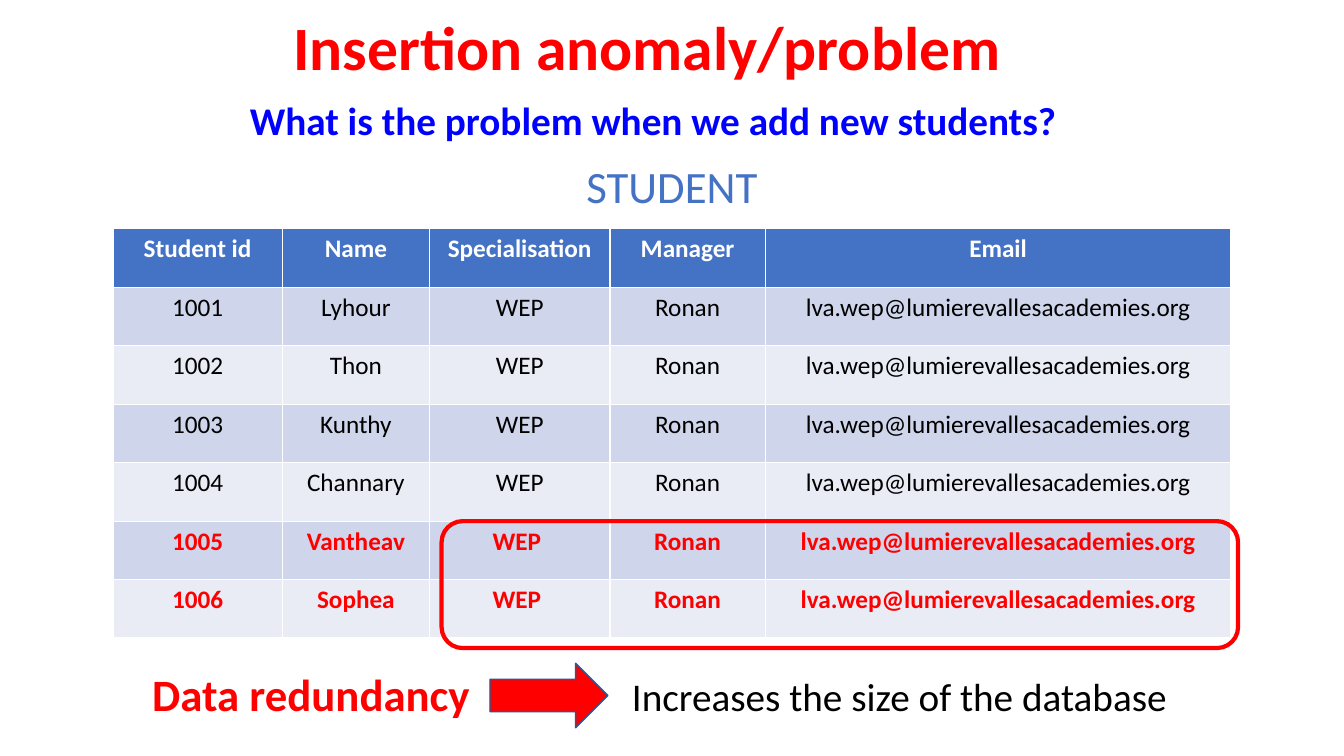
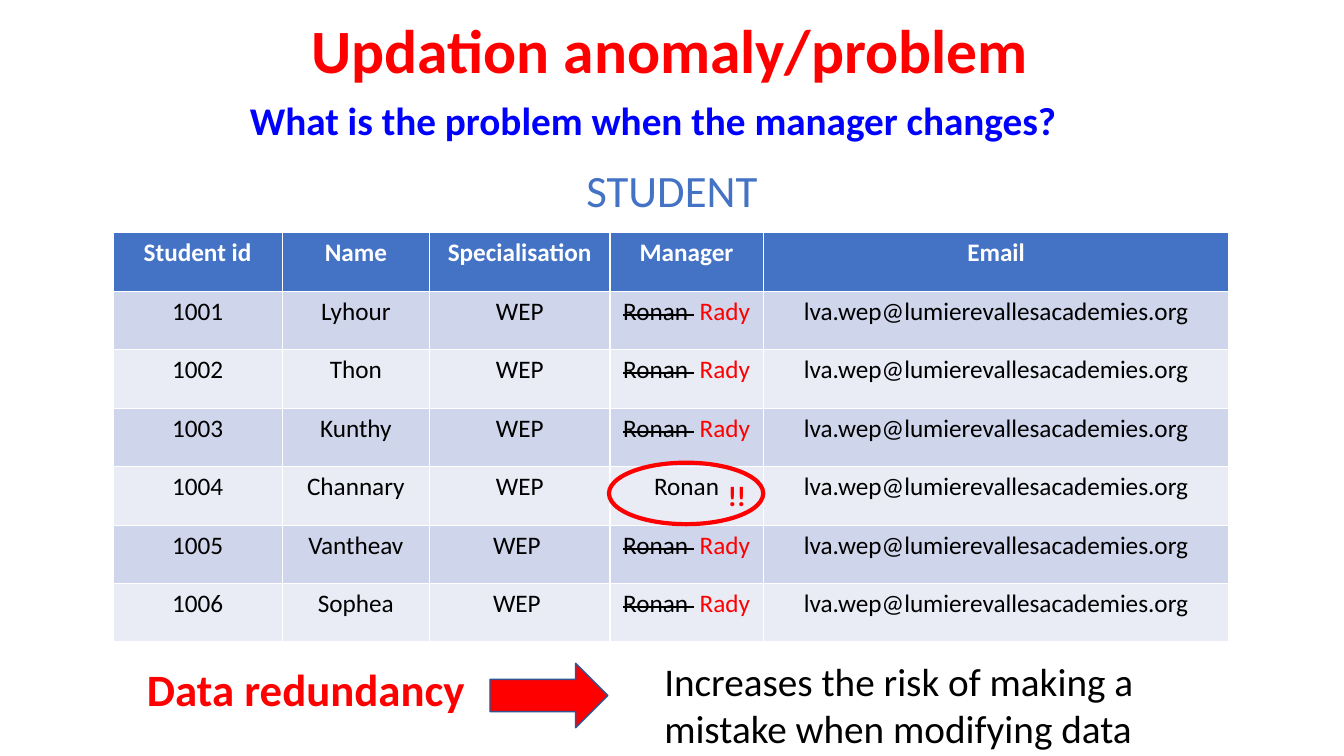
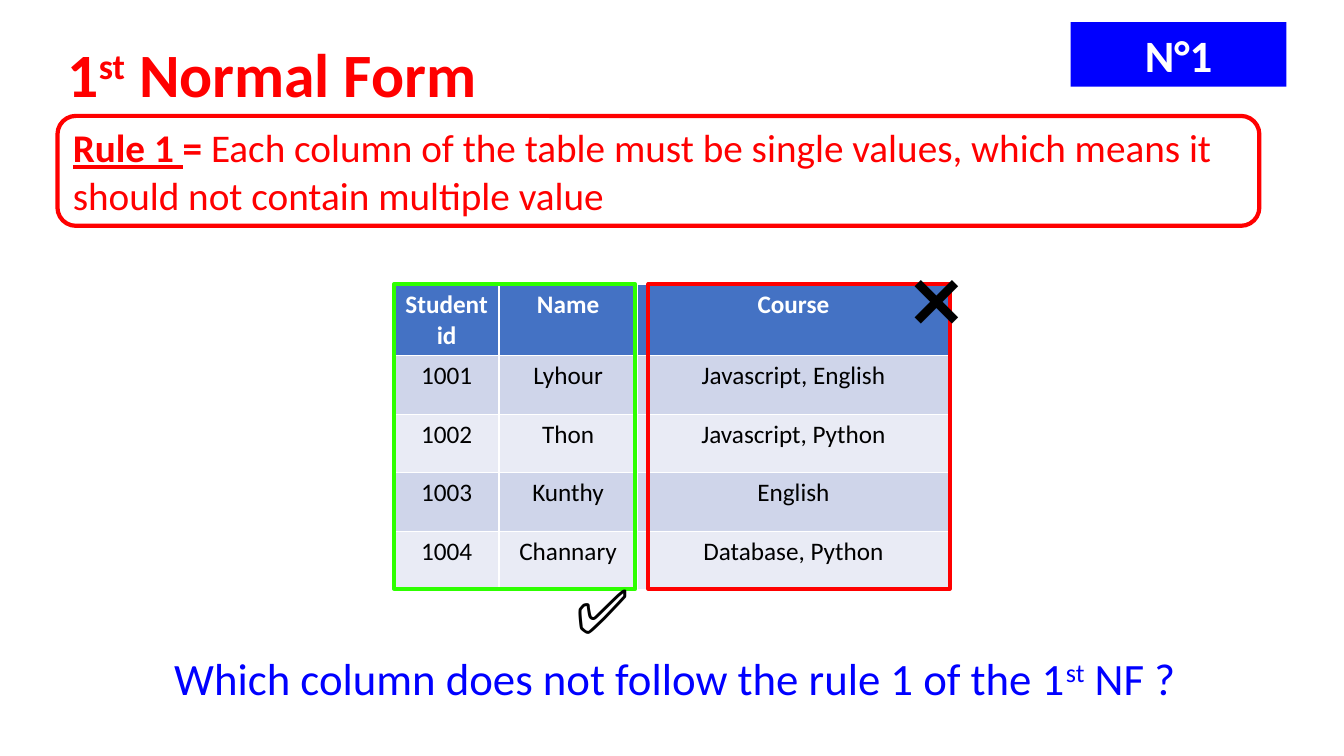
from pptx import Presentation
from pptx.dml.color import RGBColor
from pptx.enum import shapes, text
from pptx.util import Inches, Pt

FONT = "Calibri"
COLORS = {
    "red": "FF0000", "blue": "0000FF", "green": "2EFF00",
    "black": "000000", "white": "FFFFFF", "accent": "4472C4",
    "arrow_edge": "325491", "band_dark": "CFD5EA", "band_light": "E9EBF5",
}
LEFT, CENTER = text.PP_ALIGN.LEFT, text.PP_ALIGN.CENTER
SHAPE = shapes.MSO_SHAPE
ROW_HEIGHT = 0.58

# Table content
HEADINGS = ["Student id", "Name", "Specialisation", "Manager", "Email"]
STUDENTS = [("1001", "Lyhour"), ("1002", "Thon"), ("1003", "Kunthy"),
            ("1004", "Channary"), ("1005", "Vantheav"), ("1006", "Sophea")]
COURSES = ["Javascript, English", "Javascript, Python", "English", "Database, Python"]
EMAIL = "lva.wep@lumierevallesacademies.org"
NEW_IDS = ("1005", "1006")
MISSED_ID = "1004"
NEW_MANAGER = [("Ronan ", {"strike": True}), (" ", {}), ("Rady", {"color": "red"})]


def rgb(name):
    return RGBColor.from_string(COLORS[name])


# Text
def write(frame, content, size, color, bold=False, align=LEFT):
    """Fill a frame with a string or a list of (text, changes) spans."""
    para = frame.paragraphs[0]
    para.alignment = align
    spans = [(content, {})] if isinstance(content, str) else content
    for words, changes in spans:
        span = para.add_run()
        span.text = words
        font = span.font
        font.name, font.size = FONT, Pt(size)
        font.bold = changes.get("bold", bold)
        font.color.rgb = rgb(changes.get("color", color))
        if changes.get("underline"):
            font.underline = True
        if changes.get("strike"):
            span._r.get_or_add_rPr().set("strike", "sngStrike")
        if changes.get("raised"):
            span._r.get_or_add_rPr().set("baseline", "30000")


def place(item, at):
    item.left, item.top, item.width, item.height = map(Inches, at)


def add_page(deck, title, at):
    page = deck.slides.add_slide(deck.slide_layouts[5])
    box = page.shapes.title
    place(box, at)
    frame = box.text_frame
    frame.word_wrap = True
    frame.auto_size = text.MSO_AUTO_SIZE.NONE
    frame.vertical_anchor = text.MSO_ANCHOR.TOP
    write(frame, title, 44, "red", bold=True)
    return page


def add_text(page, at, content, size, color, bold=False, align=LEFT):
    box = page.shapes.add_textbox(*map(Inches, at))
    box.text_frame.word_wrap = True
    write(box.text_frame, content, size, color, bold, align)


# Shapes
def add_shape(page, kind, at, fill=None, line=None, weight=3):
    shape = page.shapes.add_shape(kind, *map(Inches, at))
    shape.shadow.inherit = False
    if fill:
        shape.fill.solid()
        shape.fill.fore_color.rgb = rgb(fill)
    else:
        shape.fill.background()
    if line:
        shape.line.color.rgb = rgb(line)
        shape.line.width = Pt(weight)
    else:
        shape.line.fill.background()
    return shape


# Tables
def add_table(page, left, top, widths, rows, bold_red_ids=()):
    at = (left, top, sum(widths), ROW_HEIGHT * len(rows))
    table = page.shapes.add_table(len(rows), len(widths), *map(Inches, at)).table
    for column, width in zip(table.columns, widths):
        column.width = Inches(width)
    for r, row in enumerate(rows):
        table.rows[r].height = Inches(ROW_HEIGHT)
        marked = row[0] in bold_red_ids
        if r == 0:
            fill, color = "accent", "white"
        else:
            fill = "band_dark" if r % 2 else "band_light"
            color = "red" if marked else "black"
        for c, content in enumerate(row):
            cell = table.cell(r, c)
            cell.fill.solid()
            cell.fill.fore_color.rgb = rgb(fill)
            write(cell.text_frame, content, 18, color, r == 0 or marked, CENTER)


def student_rows(manager_of):
    rows = [HEADINGS]
    for number, name in STUDENTS:
        track = "WEP " if number in NEW_IDS else "WEP"
        rows.append([number, name, track, manager_of(number), EMAIL])
    return rows


def add_anomaly(page, question, table_top, manager_width, rows, bold_red_ids=()):
    """Question, captioned student table and arrow of an anomaly slide."""
    add_table(page, 1.12, table_top, [1.68, 1.46, 1.79, manager_width, 4.62],
              rows, bold_red_ids)
    add_text(page, (3.61, table_top - 0.74, 6.11, 0.64), "STUDENT", 32, "accent",
             align=CENTER)
    add_shape(page, SHAPE.RIGHT_ARROW, (4.86, 6.58, 1.17, 0.64), "red",
              "arrow_edge", 1)
    add_text(page, (2.38, 0.91, 9.54, 0.57), question, 28, "blue", bold=True)


def add_conclusion(page, cause_at, effect_at, effect):
    add_text(page, cause_at, "Data redundancy", 32, "red", bold=True)
    add_text(page, effect_at, effect, 28, "black")


# Slides
def insertion_slide(deck):
    page = add_page(deck, "Insertion anomaly/problem", (2.81, 0.04, 7.96, 0.84))
    add_anomaly(page, "What is the problem when we add new students?", 2.27, 1.54,
                student_rows(lambda number: "Ronan"), NEW_IDS)
    add_conclusion(page, (1.41, 6.57, 3.45, 0.64), (6.17, 6.62, 5.76, 0.57),
                   "Increases the size of the database")
    add_shape(page, SHAPE.ROUNDED_RECTANGLE, (4.38, 5.17, 7.9, 1.26), line="red")


def updation_slide(deck):
    page = add_page(deck, "Updation anomaly/problem", (2.99, 0.07, 7.96, 0.84))
    rows = student_rows(lambda number: "Ronan" if number == MISSED_ID else NEW_MANAGER)
    add_anomaly(page, "What is the problem when the manager changes?", 2.31, 1.52, rows)
    add_conclusion(page, (1.36, 6.52, 3.56, 0.64), (6.49, 6.47, 5.76, 1.04),
                   "Increases the risk of making a mistake when modifying data")
    add_shape(page, SHAPE.OVAL, (6.04, 4.59, 1.53, 0.61), line="red")
    add_text(page, (7.12, 4.7, 0.45, 0.44), "!!", 20, "red", bold=True)


def normal_form_slide(deck):
    title = [("1", {}), ("st", {"raised": True}), (" Normal Form", {})]
    page = add_page(deck, title, (0.57, 0.31, 4.48, 0.84))

    rule = add_shape(page, SHAPE.ROUNDED_RECTANGLE, (0.57, 1.15, 11.92, 1.09), line="red")
    rule.text_frame.word_wrap = True
    write(rule.text_frame, [
        ("Rule 1 ", {"underline": True}), ("= ", {}),
        ("Each column of the table must be single values, which means it "
         "should not contain multiple value", {"bold": False}),
    ], 28, "red", bold=True)

    rows = [["Student id", "Name", "Course"]]
    rows += [[*student, course] for student, course in zip(STUDENTS, COURSES)]
    add_table(page, 3.91, 2.82, [1.04, 1.37, 3.1], rows)

    question = [("Which column does not follow the rule 1 of the 1", {}),
                ("st", {"raised": True}), (" NF ?", {})]
    add_text(page, (1.63, 6.41, 10.3, 0.64), question, 32, "blue")

    # Verdict frames and marks
    add_shape(page, SHAPE.RECTANGLE, (6.43, 2.82, 2.99, 3.02), line="red")
    add_text(page, (8.94, 2.46, 1.4, 1.01), "\u274c", 54, "black")
    add_shape(page, SHAPE.RECTANGLE, (3.91, 2.82, 2.39, 3.02), line="green")
    add_text(page, (5.61, 5.62, 0.82, 0.84), "\u2705", 44, "black")

    badge = add_shape(page, SHAPE.RECTANGLE, (10.62, 0.22, 2.14, 0.64), "blue")
    write(badge.text_frame, "N°1", 32, "white", bold=True, align=CENTER)


def main():
    deck = Presentation()
    deck.slide_width, deck.slide_height = Inches(13.33), Inches(7.5)
    insertion_slide(deck)
    updation_slide(deck)
    normal_form_slide(deck)
    deck.save("out.pptx")


main()
